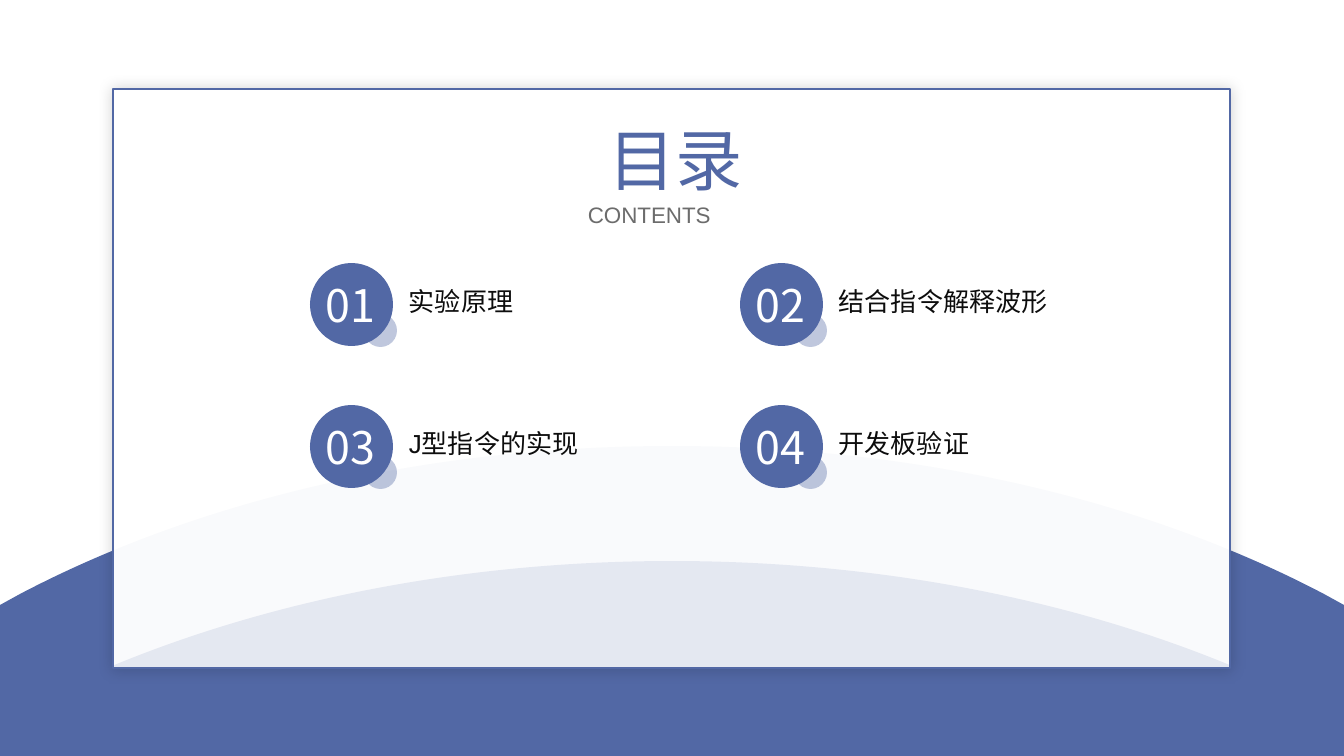
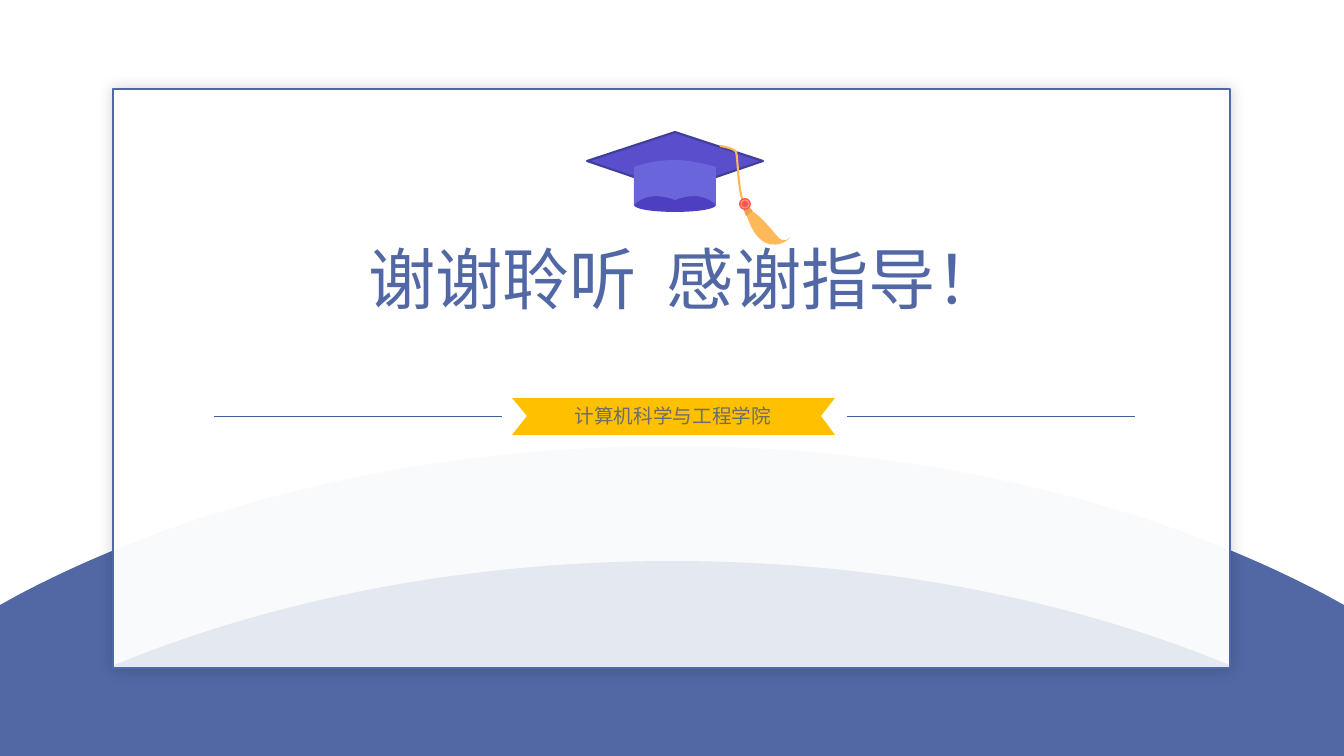
"""Build the contents slide and the closing slide of a lab presentation."""
from lxml import etree
from pptx import Presentation
from pptx import util as u
from pptx.dml.color import RGBColor
from pptx.enum import shapes, text
from pptx.oxml import ns

PX = 9071
WIDTH, HEIGHT = 1344, 756
BLUE, WHITE, GREY, INK, GOLD = "5268A5", "FFFFFF", "6C6C6C", "0D0D0D", "FFC000"
SANS, HAN = "Arial", "Noto Sans CJK SC"
LEFT, CENTER, JUSTIFY = text.PP_ALIGN.LEFT, text.PP_ALIGN.CENTER, text.PP_ALIGN.JUSTIFY
OVAL = shapes.MSO_SHAPE.OVAL
rgb = RGBColor.from_string


def paint(shape, fill=None, alpha=None, line=None, width=1):
    """Set fill, opacity in percent and outline, without a shadow."""
    shape.shadow.inherit = False
    if fill:
        shape.fill.solid()
        shape.fill.fore_color.rgb = rgb(fill)
    else:
        shape.fill.background()
    if alpha:
        color = shape.element.find(".//" + ns.qn("a:srgbClr"))
        etree.SubElement(color, ns.qn("a:alpha"), val=str(alpha * 1000))
    if line:
        shape.line.color.rgb = rgb(line)
        shape.line.width = u.Pt(width)
    else:
        shape.line.fill.background()
    return shape


def outline(parent, start, *steps, close=True):
    """Draw straight (x, y) steps and cubic (x1, y1, x2, y2, x, y) steps."""
    builder = parent.build_freeform(*start, scale=float(PX))
    builder.add_line_segments([step[-2:] for step in steps], close=close)
    shape = builder.convert_to_shape()
    left, top = shape.left // PX, shape.top // PX
    segments = shape.element.findall(".//" + ns.qn("a:lnTo"))
    for segment, step in zip(segments, steps):
        if len(step) == 6:
            curve = etree.Element(ns.qn("a:cubicBezTo"))
            for x, y in zip(step[::2], step[1::2]):
                etree.SubElement(curve, ns.qn("a:pt"), x=str(x - left), y=str(y - top))
            segment.getparent().replace(segment, curve)
    return shape


prs = Presentation()
prs.slide_width, prs.slide_height = WIDTH * PX, HEIGHT * PX
labels = []

titles = [("目录", 598, 113, 156), ("谢谢聆听  感谢指导！", 358, 232, 664)]
for heading, x, y, w in titles:
    slide = prs.slides.add_slide(prs.slide_layouts[5])
    for drop, alpha in ((0, None), (0, 3), (115, 12)):
        hill = outline(
            slide.shapes, (672, 446 + drop),
            (919, 446 + drop, 1147, 501 + drop, 1324, 594 + drop),
            (WIDTH, 605 + drop), (WIDTH, HEIGHT), (0, HEIGHT), (0, 605 + drop),
            (20, 594 + drop),
            (197, 501 + drop, 425, 446 + drop, 672, 446 + drop))
        paint(hill, BLUE, alpha)
        if alpha is None:
            card = slide.shapes.add_shape(
                shapes.MSO_SHAPE.RECTANGLE, 113 * PX, 89 * PX, 1117 * PX, 579 * PX)
            paint(card, WHITE, line=BLUE, width=2)
            effects = card.element.find(".//" + ns.qn("a:effectLst"))
            glow = etree.SubElement(effects, ns.qn("a:outerShdw"),
                                    blurRad=str(u.Pt(10)), dist="0", dir="0",
                                    algn="ctr", rotWithShape="0")
            black = etree.SubElement(glow, ns.qn("a:srgbClr"), val="000000")
            etree.SubElement(black, ns.qn("a:alpha"), val="17000")
    title = slide.shapes.title
    title.left, title.top, title.width, title.height = x * PX, y * PX, w * PX, 92 * PX
    title.element.getparent().append(title.element)
    labels.append((title, heading, 48, HAN, BLUE, LEFT, False))

contents, closing = prs.slides

subtitle = contents.shapes.add_textbox(578 * PX, 196 * PX, 197 * PX, 37 * PX)
labels.append((subtitle, "CONTENTS", 16, SANS, GREY, JUSTIFY, True))

topics = [("实验原理", 126), ("结合指令解释波形", 231),
          ("J型指令的实现", 191), ("开发板验证", 152)]
for i, (topic, w) in enumerate(topics):
    row, column = divmod(i, 2)
    x, y = 310 + 430 * column, 263 + 142 * row
    marker = contents.shapes.add_group_shape().shapes
    badge = marker.add_shape(OVAL, x * PX, y * PX, 83 * PX, 83 * PX)
    paint(badge, BLUE)
    dot = marker.add_shape(OVAL, (x + 54) * PX, (y + 51) * PX, 33 * PX, 33 * PX)
    paint(dot, BLUE, 37)
    number = marker.add_textbox((x + 6) * PX, (y + 10) * PX, 76 * PX, 65 * PX)
    labels.append((number, f"{i + 1:02}", 32, HAN, WHITE, LEFT, False))
    entry = contents.shapes.add_textbox(
        (x + 89) * PX, (y + 18) * PX, w * PX, 41 * PX)
    labels.append((entry, topic, 18.6, SANS, INK, LEFT, w == 191))

cap = closing.shapes.add_group_shape().shapes
tassel = outline(cap, (746, 213), (746, 213, 752, 237, 766, 243),
                 (781, 249, 791, 237, 791, 237), (791, 237, 784, 245, 777, 236),
                 (769, 226, 755, 210, 750, 211))
paint(tassel, "FFB85A")
knot = outline(cap, (743, 208), (746, 216), (753, 211), (747, 205))
paint(knot, "EAA347")
board = outline(cap, (763, 161), (675, 191), (587, 161), (675, 132))
paint(board, "5A4ECC", line="3F3F99", width=1.5)
inside = outline(cap, (716, 205), (716, 209, 698, 212, 675, 212),
                 (652, 212, 634, 209, 634, 205), (634, 201, 652, 190, 675, 190),
                 (698, 190, 716, 201, 716, 205))
paint(inside, "4E3EC1")
crown = outline(cap, (716, 205), (716, 205, 703, 189, 675, 200),
                (647, 189, 634, 205, 634, 205), (634, 167),
                (634, 167, 651, 160, 675, 160), (694, 160, 716, 167, 716, 167))
paint(crown, "6A65DB")
cord = outline(cap, (720, 146), (720, 146, 734, 148, 736, 152),
               (738, 157, 738, 194, 744, 203), close=False)
paint(cord, line="FFB850", width=1.5)
bead = cap.add_shape(OVAL, 739 * PX, 198 * PX, 12 * PX, 12 * PX)
paint(bead, "FF525F")
ring = cap.add_shape(OVAL, 741 * PX, 200 * PX, 8 * PX, 8 * PX)
paint(ring, line="FFB850", width=0.56)

ribbon = outline(closing.shapes, (512, 398), (835, 398), (821, 416), (835, 435),
                 (512, 435), (527, 416))
paint(ribbon, GOLD)
school = closing.shapes.add_textbox(561 * PX, 399 * PX, 224 * PX, 34 * PX)
labels.append((school, "计算机科学与工程学院", 14, SANS, GREY, CENTER, False))
for x in (214, 847):
    rule = closing.shapes.add_connector(
        shapes.MSO_CONNECTOR.STRAIGHT, x * PX, 416 * PX, (x + 288) * PX, 416 * PX)
    rule.line.color.rgb = rgb("406196")
    rule.line.width = u.Pt(0.5)
    etree.SubElement(rule.element.spPr, ns.qn("a:effectLst"))

for holder, words, size, face, color, align, wrap in labels:
    frame = holder.text_frame
    frame.text = words
    frame.auto_size = text.MSO_AUTO_SIZE.NONE
    frame.word_wrap = wrap
    frame.vertical_anchor = text.MSO_ANCHOR.TOP
    paragraph = frame.paragraphs[0]
    paragraph.alignment = align
    font = paragraph.font
    font.size, font.name = u.Pt(size), face
    font.color.rgb = rgb(color)
    latin = paragraph._p.find(".//" + ns.qn("a:latin"))
    latin.addnext(etree.Element(ns.qn("a:ea"), typeface=face))

prs.save("out.pptx")
